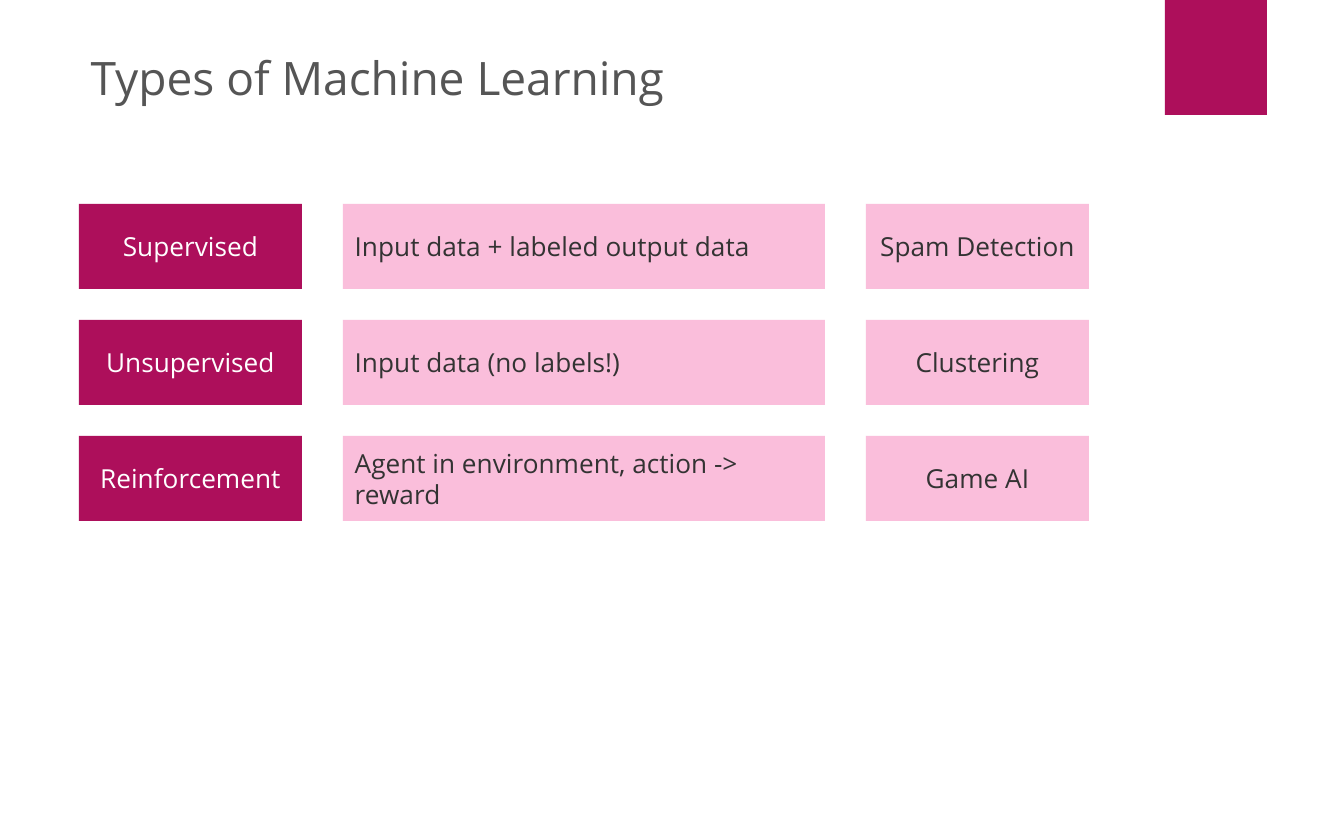
"""Build the slide on the types of machine learning."""
from pptx import Presentation
from pptx.dml.color import RGBColor
from pptx.enum.shapes import MSO_SHAPE as Shape
from pptx.enum.text import MSO_ANCHOR as Anchor, PP_ALIGN as Align
from pptx.util import Pt

PX = 914400 / 118.5
BERRY, PINK, WHITE, DARK, GREY = "AD0F5B", "FABEDB", "FFFFFF", "333333", "555555"


def put(box, text, size, color, align):
    frame = box.text_frame
    frame.word_wrap = True
    frame.vertical_anchor = Anchor.MIDDLE
    para = frame.paragraphs[0]
    para.alignment = align
    run = para.add_run()
    run.text = text
    run.font.name = "Open Sans"
    run.font.size = Pt(size)
    run.font.color.rgb = RGBColor.from_string(color)
    return para


def block(left, top, width, height, fill):
    box = slide.shapes.add_shape(
        Shape.RECTANGLE, *(round(n * PX) for n in (left, top, width, height)))
    box.shadow.inherit = False
    box.fill.solid()
    box.fill.fore_color.rgb = RGBColor.from_string(fill)
    box.line.fill.background()
    return box


deck = Presentation()
deck.slide_width = round(1344 * PX)
deck.slide_height = round(840 * PX)
slide = deck.slides.add_slide(deck.slide_layouts[6])

block(1165, 0, 102, 115, BERRY)

title = slide.shapes.add_textbox(*(round(n * PX) for n in (79, 0, 1159, 162)))
put(title, "Types of Machine Learning", 28, GREY, Align.LEFT).line_spacing = 0.9

cols = [
    (79, 223, BERRY, WHITE, Align.CENTER),
    (343, 482, PINK, DARK, Align.LEFT),
    (866, 223, PINK, DARK, Align.CENTER),
]
rows = [
    ("Supervised", "Input data + labeled output data", "Spam Detection"),
    ("Unsupervised", "Input data (no labels!)", "Clustering"),
    ("Reinforcement", "Agent in environment, action -> reward", "Game AI"),
]
for i, row in enumerate(rows):
    for text, (left, width, fill, color, align) in zip(row, cols):
        box = block(left, 204 + 116 * i, width, 85, fill)
        put(box, text, 15.9, color, align)

deck.save("out.pptx")
